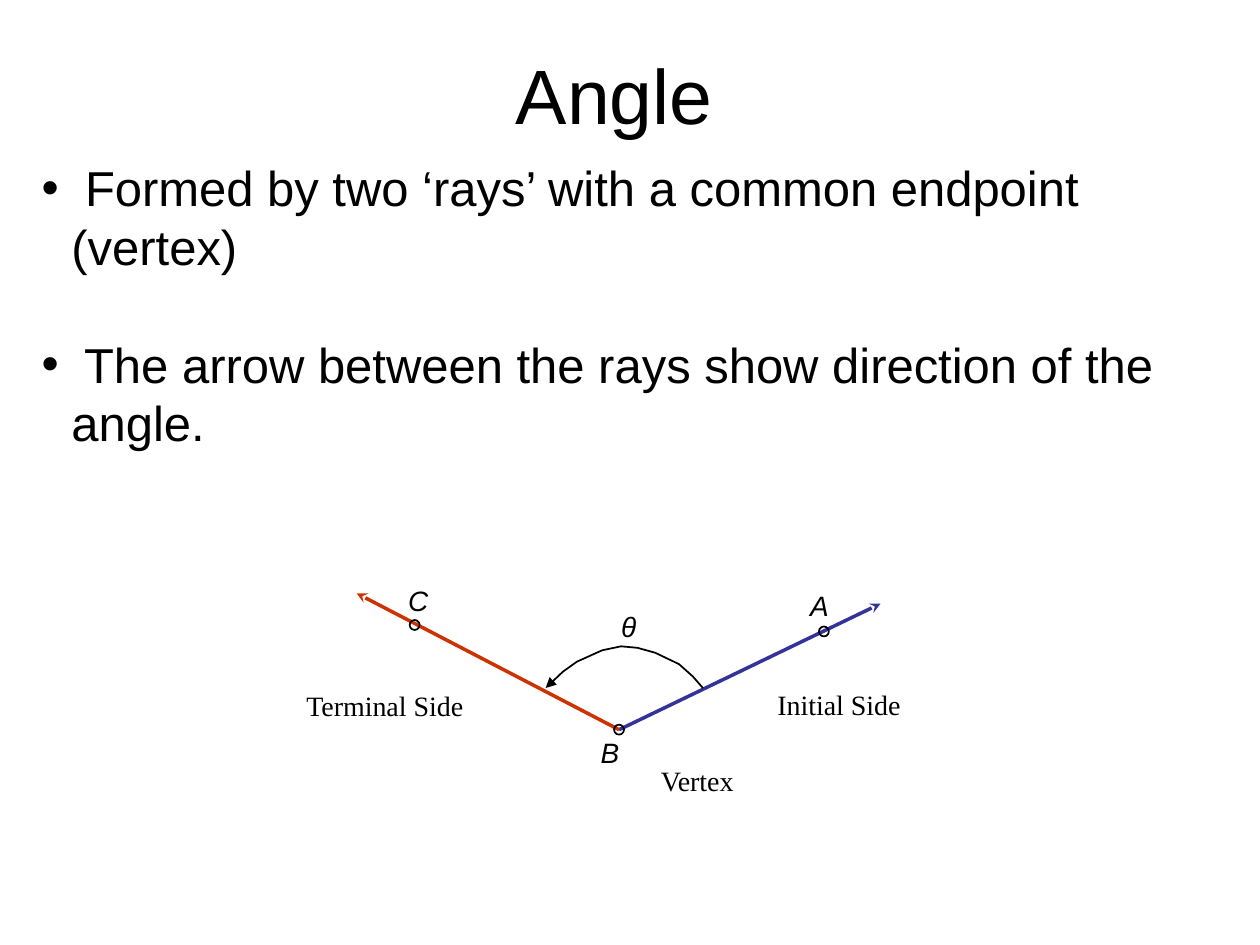
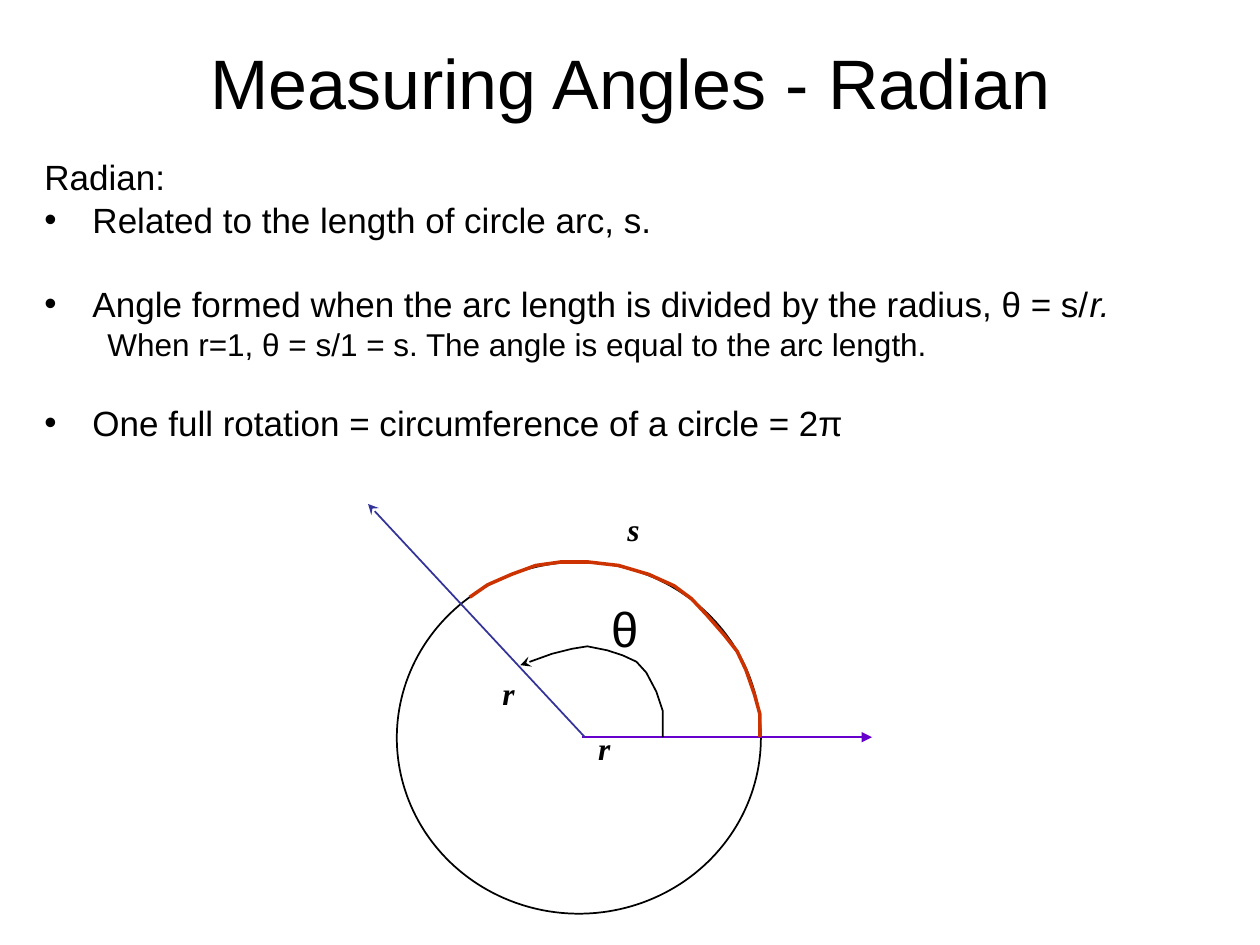
from lxml.etree import SubElement
from pptx import Presentation
from pptx.dml.color import RGBColor
from pptx.enum.shapes import MSO_CONNECTOR, MSO_SHAPE
from pptx.enum.text import MSO_ANCHOR, MSO_AUTO_SIZE, PP_ALIGN
from pptx.oxml.ns import qn
from pptx.util import Cm, Pt

BLACK = RGBColor(0x00, 0x00, 0x00)
BLUE = RGBColor(0x33, 0x33, 0x99)
RED = RGBColor(0xCC, 0x33, 0x00)
PURPLE = RGBColor(0x66, 0x00, 0xCC)
SANS = "Arial"
SERIF = "Times New Roman"


def write(paragraph, text, size=16, font=SANS, color=BLACK, bold=False, italic=False):
    """Add one formatted run to a paragraph."""
    run = paragraph.add_run()
    run.text = text
    run.font.size = Pt(size)
    run.font.name = font
    run.font.color.rgb = color
    run.font.bold = bold
    run.font.italic = italic


def place(shape, box):
    shape.left, shape.top, shape.width, shape.height = (Cm(v) for v in box)


def clear_insets(frame):
    frame.margin_left = frame.margin_right = frame.margin_top = frame.margin_bottom = 0


class Lesson:
    """Holds the presentation, its style and the current slide."""

    def __init__(self):
        self.deck = Presentation()
        self.deck.slide_width, self.deck.slide_height = Cm(25.4), Cm(19.05)
        self.slide = None

    def new_slide(self, title, box, size, anchor):
        self.slide = self.deck.slides.add_slide(self.deck.slide_layouts[1])
        heading = self.slide.shapes.title
        place(heading, box)
        frame = heading.text_frame
        frame.auto_size = MSO_AUTO_SIZE.NONE
        frame.vertical_anchor = anchor
        frame.paragraphs[0].alignment = PP_ALIGN.CENTER
        write(frame.paragraphs[0], title, size=size)

    def body(self, box, inset=True):
        holder = self.slide.placeholders[1]
        place(holder, box)
        frame = holder.text_frame
        frame.auto_size = MSO_AUTO_SIZE.NONE
        frame.vertical_anchor = MSO_ANCHOR.TOP
        if not inset:
            clear_insets(frame)
        return frame

    def item(self, frame, text, size, before=0, spacing=1.0, left=0.97,
             hanging=0.97, bullet=True):
        """Add a list paragraph; the first one fills the empty paragraph."""
        first = frame.paragraphs[0]
        paragraph = frame.add_paragraph() if first.runs else first
        paragraph.alignment = PP_ALIGN.LEFT
        paragraph.line_spacing = spacing
        paragraph.space_before = Pt(before)
        properties = paragraph._p.get_or_add_pPr()
        properties.set("marL", str(Cm(left)))
        properties.set("indent", str(-Cm(hanging)))
        if not bullet:
            SubElement(properties, qn("a:buNone"))
        write(paragraph, text, size=size)
        return paragraph

    def label(self, text, box, centred=False, **style):
        textbox = self.slide.shapes.add_textbox(*(Cm(v) for v in box))
        frame = textbox.text_frame
        frame.word_wrap = centred
        if centred:
            clear_insets(frame)
            frame.paragraphs[0].alignment = PP_ALIGN.CENTER
        write(frame.paragraphs[0], text, **style)

    def stroke(self, shape, color, width, arrow=None):
        shape.line.color.rgb = color
        shape.line.width = Pt(width)
        if arrow:
            SubElement(shape.line._get_or_add_ln(), qn("a:tailEnd"), type=arrow)

    def ray(self, start, end, color, width, arrow="stealth"):
        ray = self.slide.shapes.add_connector(
            MSO_CONNECTOR.STRAIGHT, *(Cm(v) for v in start + end))
        self.stroke(ray, color, width, arrow)
        SubElement(ray._element.spPr, qn("a:effectLst"))

    def ellipse(self, box):
        ellipse = self.slide.shapes.add_shape(MSO_SHAPE.OVAL, *(Cm(v) for v in box))
        ellipse.shadow.inherit = False
        ellipse.fill.background()
        self.stroke(ellipse, BLACK, 1)

    def point(self, x, y, diameter=0.2):
        self.ellipse((x - diameter / 2, y - diameter / 2, diameter, diameter))

    def arc(self, points, color=BLACK, width=1, arrow=None):
        start, *rest = [(Cm(x), Cm(y)) for x, y in points]
        builder = self.slide.shapes.build_freeform(*start)
        builder.add_line_segments(rest, close=False)
        arc = builder.convert_to_shape()
        arc.shadow.inherit = False
        arc.fill.background()
        self.stroke(arc, color, width, arrow)


def angle_slide(lesson):
    lesson.new_slide("Angle", (0.84, 0.84, 23.09, 2.11), 44, MSO_ANCHOR.TOP)
    facts = lesson.body((0.84, 3.18, 23.22, 5.94), inset=False)
    indent = {"size": 28, "left": 0.6, "hanging": 0.6}
    lesson.item(facts, " Formed by two ‘rays’ with a common endpoint (vertex)", **indent)
    lesson.item(facts, " The arrow between the rays show direction of the angle.",
                before=33.5, **indent)

    # Rays and their points
    vertex = (12.48, 14.71)
    lesson.ray(vertex, (17.75, 12.17), BLUE, 2)
    lesson.ray(vertex, (7.19, 11.96), RED, 2)
    for x, y in (vertex, (16.61, 12.73), (8.36, 12.6)):
        lesson.point(x, y)
    for name, x, y in (("A", 16.08, 11.73), ("θ", 12.27, 12.17),
                       ("B", 11.86, 14.71), ("C", 7.98, 11.63)):
        lesson.label(name, (x, y, 0.9, 0.94), italic=True)

    # Direction of the angle
    lesson.arc([(14.17, 13.87), (13.97, 13.64), (13.69, 13.39), (13.21, 13.16),
                (12.85, 13.06), (12.52, 13.03), (12.14, 13.11), (11.63, 13.34),
                (11.35, 13.54), (11, 13.87)], arrow="triangle")

    # Names of the parts
    for name, x, y, width in (("Terminal Side", 6.07, 13.89, 3.38),
                              ("Initial Side", 15.52, 13.87, 2.79),
                              ("Vertex", 13.18, 15.39, 1.75)):
        lesson.label(name, (x, y, width, 0.81), centred=True, font=SERIF)


def radian_slide(lesson):
    lesson.new_slide("Measuring Angles - Radian", (1.27, 0.76, 22.86, 1.78), 40,
                     MSO_ANCHOR.MIDDLE)
    facts = lesson.body((0.64, 3.18, 24.13, 6.55))
    main = {"size": 20, "spacing": 0.8}
    lesson.item(facts, "Radian:", before=5, bullet=False, **main)
    lesson.item(facts, "Related to the length of circle arc, s.", before=5, **main)
    formula = lesson.item(
        facts, "Angle formed when the arc length is divided by the radius, θ = s/",
        before=29, **main)
    write(formula, "r.", size=20, italic=True)
    lesson.item(facts, "When r=1, θ = s/1 = s. The angle is equal to the arc length.",
                size=18, spacing=0.8, before=4.5, left=2.06, hanging=0.79, bullet=False)
    lesson.item(facts, "One full rotation = circumference of a circle = 2π",
                before=27, **main)

    # Circle and its two radii
    lesson.ellipse((8, 11.33, 7.34, 7.09))
    lesson.ray((11.73, 14.86), (17.58, 14.86), PURPLE, 1, "triangle")
    lesson.ray((11.79, 14.86), (7.42, 10.16), BLUE, 1)

    # Arc length s
    lesson.arc([(15.32, 14.86), (15.32, 14.4), (15.21, 14), (15.04, 13.51),
                (14.86, 13.13), (14.6, 12.8), (14.25, 12.4), (13.94, 12.07),
                (13.59, 11.81), (13.08, 11.58), (12.47, 11.4), (11.86, 11.33),
                (11.3, 11.33), (10.8, 11.4), (10.31, 11.58), (9.83, 11.79),
                (9.47, 12.04)], RED, 2)

    # Angle θ
    lesson.arc([(13.36, 14.86), (13.36, 14.33), (13.23, 13.94), (13.03, 13.56),
                (12.83, 13.34), (12.55, 13.21), (12.24, 13.11), (11.84, 13.03),
                (11.53, 13.08), (11.13, 13.18), (10.49, 13.41)], arrow="stealth")
    lesson.label("θ", (12.07, 11.94, 1.02, 1.45), size=28)
    for name, x, y in (("r", 9.88, 13.46), ("s", 12.4, 10.16), ("r", 11.81, 14.58)):
        lesson.label(name, (x, y, 0.76, 1.02), size=18, font=SERIF, bold=True, italic=True)


def main():
    lesson = Lesson()
    angle_slide(lesson)
    radian_slide(lesson)
    lesson.deck.save("out.pptx")


if __name__ == "__main__":
    main()
